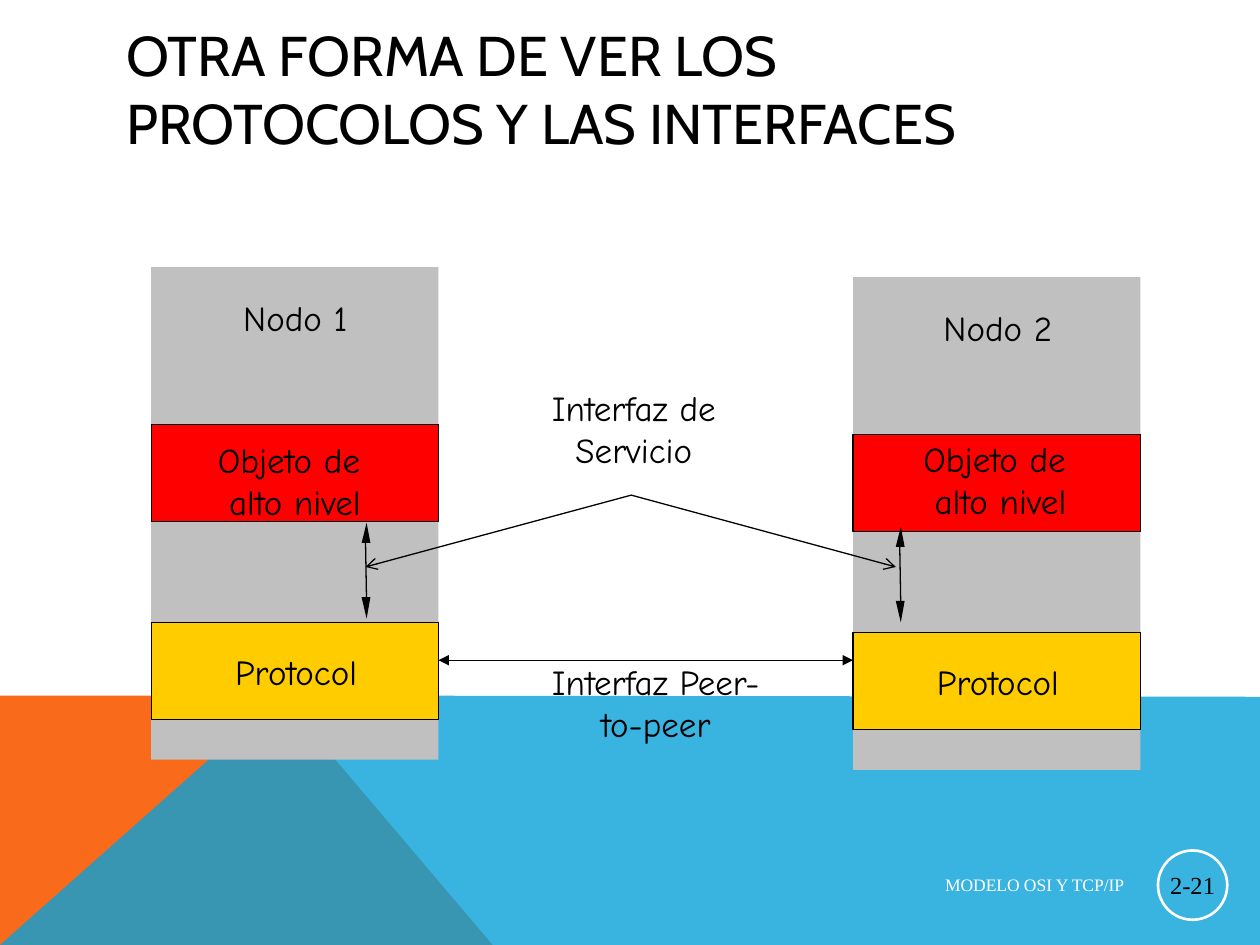
import dataclasses
import typing

import lxml.etree
import pptx
import pptx.dml.color
import pptx.enum.shapes
import pptx.enum.text
import pptx.oxml.ns
import pptx.util

Inches = pptx.util.Inches
Shapes = pptx.enum.shapes.MSO_SHAPE
Align = pptx.enum.text.PP_ALIGN
Anchor = pptx.enum.text.MSO_ANCHOR
Point = tuple[float, float]
qn = pptx.oxml.ns.qn

COLORS = {
    "black": "000000", "white": "FFFFFF", "gray": "C0C0C0", "red": "FF0000",
    "yellow": "FFCC00", "orange": "F96A1B", "blue": "08A1D9",
}
COMIC = {"name": "Comic Neue", "size": pptx.util.Pt(20)}
TITLE = {"name": "Cabin", "size": pptx.util.Pt(32)}
FOOTER = {"name": "Times New Roman", "size": pptx.util.Pt(10)}
NUMBER = {"name": "Times New Roman", "size": pptx.util.Pt(14)}
NODE_WIDTH = 2.28
LAYER_HEIGHT = 0.77


@dataclasses.dataclass
class Node:
    name: str
    left: float
    top: float
    name_left: float
    name_width: float
    object_text_left: float
    object_text_top: float
    arrow_x: float
    arrow_top: float


NODES = [
    Node("Nodo 1", 1.2, 2.12, 1.93, 0.83, 1.2, 3.48, 2.9, 4.15),
    Node("Nodo 2", 6.77, 2.2, 7.49, 0.86, 6.8, 3.47, 7.14, 4.18),
]


def rgb(color: str) -> pptx.dml.color.RGBColor:
    return pptx.dml.color.RGBColor.from_string(COLORS[color])


def paint(shape: typing.Any, fill: str | None = None, line: str | None = None,
          width: float = 0.75) -> None:
    shape.shadow.inherit = False
    if fill:
        shape.fill.solid()
        shape.fill.fore_color.rgb = rgb(fill)
    else:
        shape.fill.background()
    if line:
        shape.line.color.rgb = rgb(line)
        shape.line.width = pptx.util.Pt(width)
    else:
        shape.line.fill.background()


def write(shape: typing.Any, lines: list[str], font: dict, color: str = "black",
          align: Align = Align.CENTER, anchor: Anchor = Anchor.TOP,
          inset: Point = (0, 0), wrap: bool = True) -> None:
    frame = shape.text_frame
    frame_format = {
        "word_wrap": wrap, "auto_size": pptx.enum.text.MSO_AUTO_SIZE.NONE,
        "vertical_anchor": anchor,
        "margin_left": Inches(inset[0]), "margin_right": Inches(inset[0]),
        "margin_top": Inches(inset[1]), "margin_bottom": Inches(inset[1]),
    }
    for key, value in frame_format.items():
        setattr(frame, key, value)
    frame.text = "\n".join(lines)
    for paragraph in frame.paragraphs:
        paragraph.alignment = align
        for run in paragraph.runs:
            for key, value in font.items():
                setattr(run.font, key, value)
            run.font.color.rgb = rgb(color)


def add_label(slide: typing.Any, left: float, top: float, width: float, height: float,
              lines: list[str], font: dict = COMIC, **options: typing.Any) -> None:
    label = slide.shapes.add_textbox(*map(Inches, (left, top, width, height)))
    write(label, lines, font, **options)


def add_block(slide: typing.Any, left: float, top: float, height: float,
              fill: str, line: str | None = None) -> None:
    block = slide.shapes.add_shape(
        Shapes.RECTANGLE, *map(Inches, (left, top, NODE_WIDTH, height)))
    paint(block, fill, line)


def add_outline(slide: typing.Any, points: list[Point], fill: str | None = None,
                line: str | None = None, close: bool = True) -> typing.Any:
    start, *rest = [(Inches(x), Inches(y)) for x, y in points]
    builder = slide.shapes.build_freeform(*start)
    builder.add_line_segments(rest, close=close)
    outline = builder.convert_to_shape()
    paint(outline, fill, line)
    return outline


def add_heads(shape: typing.Any, kind: str) -> None:
    line = shape.line._get_or_add_ln()
    for end in ("a:headEnd", "a:tailEnd"):
        lxml.etree.SubElement(line, qn(end), type=kind)


def add_line(slide: typing.Any, start: Point, end: Point) -> typing.Any:
    connector = slide.shapes.add_connector(
        pptx.enum.shapes.MSO_CONNECTOR.STRAIGHT, *map(Inches, (*start, *end)))
    connector.line.color.rgb = rgb("black")
    connector.line.width = pptx.util.Pt(0.75)
    lxml.etree.SubElement(connector._element.spPr, qn("a:effectLst"))
    return connector


def add_service_arrow(slide: typing.Any, x: float, top: float) -> None:
    bottom = top + 0.76
    for tip, base in ((top, top + 0.16), (bottom, bottom - 0.17)):
        add_outline(slide, [(x - 0.03, base), (x + 0.01, tip), (x + 0.04, base)], "black")
    add_line(slide, (x, top + 0.1), (x + 0.01, bottom - 0.1))


def add_node(slide: typing.Any, node: Node) -> None:
    object_top = node.top + 1.25
    protocol_top = node.top + 2.82
    add_block(slide, node.left, node.top, 3.91, "gray")
    add_label(slide, node.name_left, node.top + 0.23, node.name_width, 0.33,
              [node.name], wrap=False)
    add_block(slide, node.left, protocol_top, LAYER_HEIGHT, "yellow", "black")
    add_label(slide, node.left + 0.01, protocol_top + 0.22, NODE_WIDTH, 0.33, ["Protocol"])
    add_block(slide, node.left, object_top, LAYER_HEIGHT, "red", "black")
    add_service_arrow(slide, node.arrow_x, node.arrow_top)
    add_label(slide, node.object_text_left, node.object_text_top, NODE_WIDTH, 0.67,
              ["Objeto de ", "alto nivel"])


def add_background(slide: typing.Any) -> None:
    add_outline(slide, [(0, 7.5), (0, 5.52), (2.23, 5.52), (3.91, 7.5)], "orange")
    band = add_outline(slide, [(0, 7.5), (2.23, 5.52), (10, 5.53), (10, 7.5)], "blue")
    band_color = band._element.spPr.find(qn("a:solidFill"))[0]
    lxml.etree.SubElement(band_color, qn("a:alpha"), val="80000")


def add_title(slide: typing.Any) -> None:
    title = slide.shapes.title
    place = {"left": 0.9, "top": 0.4, "width": 8.23, "height": 0.6}
    for key, value in place.items():
        setattr(title, key, Inches(value))
    write(title, ["OTRA FORMA DE VER LOS PROTOCOLOS Y LAS INTERFACES"], TITLE,
          align=Align.LEFT, anchor=Anchor.MIDDLE, inset=(0.1, 0.05))


def add_footer(slide: typing.Any) -> None:
    add_label(slide, 3.85, 6.87, 5.17, 0.3, [" MODELO OSI Y TCP/IP"], FOOTER,
              color="white", align=Align.RIGHT, anchor=Anchor.MIDDLE, inset=(0.1, 0.05))
    number = slide.shapes.add_shape(
        Shapes.OVAL, *map(Inches, (9.19, 6.75, 0.55, 0.55)))
    paint(number, line="white", width=1.5)
    write(number, ["2-21"], NUMBER, anchor=Anchor.MIDDLE, inset=(0.01, 0.01))


def main() -> None:
    deck = pptx.Presentation()
    deck.slide_width = Inches(10)
    deck.slide_height = Inches(7.5)
    slide = deck.slides.add_slide(deck.slide_layouts[5])
    add_background(slide)
    add_title(slide)
    add_footer(slide)
    for node in NODES:
        add_node(slide, node)
    add_label(slide, 4.37, 3.07, 1.32, 0.67, ["Interfaz de", "Servicio"], wrap=False)
    add_label(slide, 4.25, 5.24, 1.91, 0.67, ["Interfaz Peer-to-peer"])
    service = add_outline(slide, [(2.9, 4.5), (5.01, 3.93), (7.11, 4.5)],
                          line="black", close=False)
    add_heads(service, "arrow")
    peer = add_line(slide, (3.48, 5.24), (6.77, 5.24))
    add_heads(peer, "triangle")
    deck.save("out.pptx")


if __name__ == "__main__":
    main()
